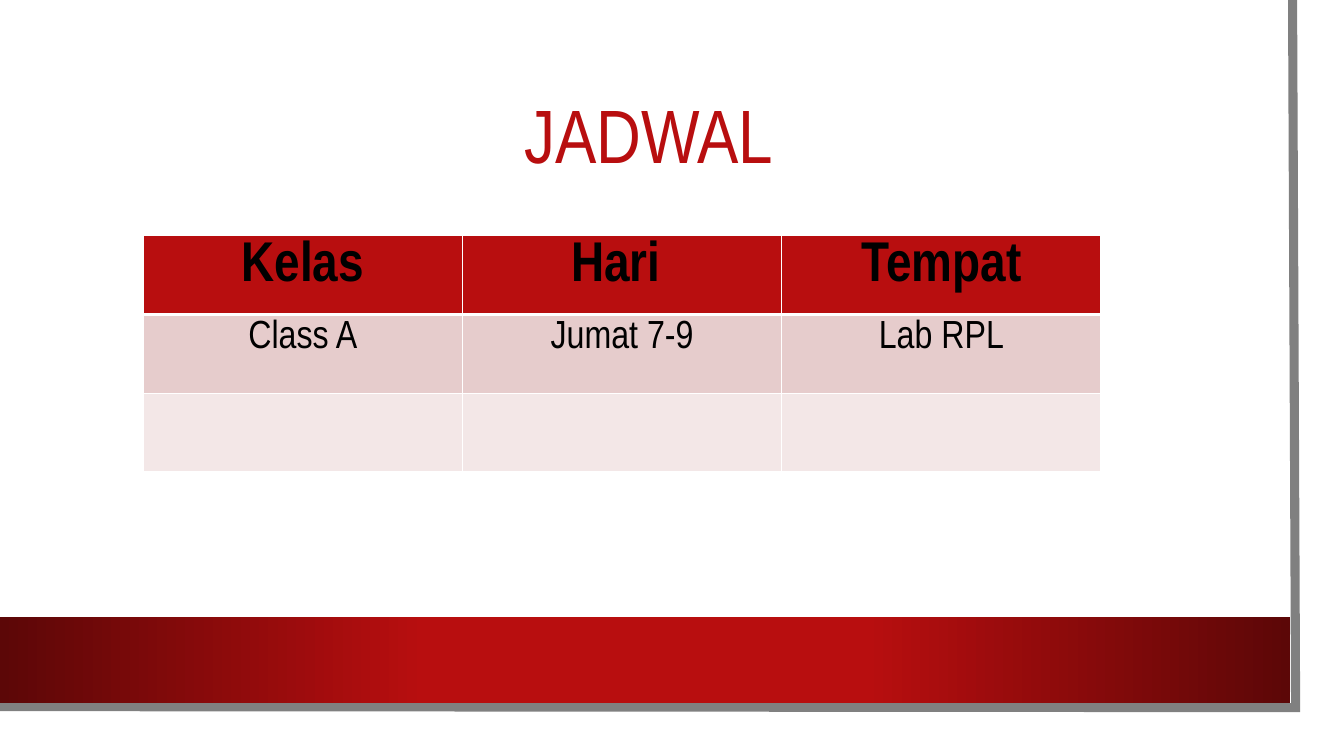
from dataclasses import dataclass

from lxml.etree import SubElement
from pptx import Presentation
from pptx.dml.color import RGBColor as RGB
from pptx.enum.shapes import MSO_SHAPE as Shape
from pptx.enum.text import MSO_ANCHOR as Anchor, PP_ALIGN as Align
from pptx.oxml import parse_xml
from pptx.oxml.ns import nsdecls, qn
from pptx.util import Inches, Pt

TITLE = "JADWAL"
ROWS = [
    ("Kelas", "Hari ", "Tempat"),
    ("Class A", "Jumat 7-9", "Lab RPL"),
    ("", "", ""),
]
SHEET = (0, 0, 13.1, 7.27)
BAND = (0, 6.12, 12.8, 0.85)
EDGE = [(12.82, 0), (12.85, 7.02), (-0.03, 7.01)]
HEAD = (0.75, 0.75, 11.37, 1.26)
GRID = (1.42, 2.34, 9.5, 2.34)


@dataclass(frozen=True)
class Theme:
    font: str = "Arial Narrow"
    red: str = "B80E0F"
    dark: str = "5C0707"
    gray: str = "808080"
    white: str = "FFFFFF"
    black: str = "000000"
    fills: tuple = ("B80E0F", "E6CCCC", "F3E7E7")
    title: int = 54
    sizes: tuple = (40, 28, 28)
    edge: float = 6.5


T = Theme()


def box(area):
    return [Inches(n) for n in area]


def paint(fill, color):
    fill.solid()
    fill.fore_color.rgb = RGB.from_string(color)


def write(frame, text, size, color, bold=False):
    para = frame.paragraphs[0]
    para.alignment = Align.CENTER
    if text:
        run = para.add_run()
        run.text = text
        font = run.font
        font.name, font.size, font.bold = T.font, Pt(size), bold
        font.color.rgb = RGB.from_string(color)
    return para


def add_rect(shapes, area):
    rect = shapes.add_shape(Shape.RECTANGLE, *box(area))
    rect.shadow.inherit = False
    rect.line.fill.background()
    paint(rect.fill, T.white)
    return rect


def add_band(shapes):
    """Draw the red band, darker towards both ends."""
    band = add_rect(shapes, BAND)
    stops = [(0, T.dark), (33, T.red), (67, T.red), (100, T.dark)]
    marks = "".join(
        f'<a:gs pos="{at * 1000}"><a:srgbClr val="{color}"/></a:gs>'
        for at, color in stops
    )
    grad = parse_xml(
        f'<a:gradFill {nsdecls("a")}><a:gsLst>{marks}</a:gsLst>'
        '<a:lin ang="0" scaled="0"/></a:gradFill>'
    )
    props = band._element.spPr
    props.replace(props.find(qn("a:solidFill")), grad)


def add_edge(shapes):
    first, *rest = [box(point) for point in EDGE]
    pen = shapes.build_freeform(*first)
    pen.add_line_segments(rest, close=False)
    edge = pen.convert_to_shape()
    edge.shadow.inherit = False
    edge.fill.background()
    paint(edge.line.fill, T.gray)
    edge.line.width = Pt(T.edge)
    join = SubElement(edge.line._get_or_add_ln(), qn("a:miter"))
    join.set("lim", "800000")


def set_border(cell, side, width):
    props = cell._tc.get_or_add_tcPr()
    line = SubElement(props, qn(f"a:ln{side}"), w=str(Pt(width)))
    fill = SubElement(line, qn("a:solidFill"))
    SubElement(fill, qn("a:srgbClr"), val=T.white)


def add_grid(shapes):
    frame = shapes.add_table(len(ROWS), len(ROWS[0]), *box(GRID))
    table = frame.table
    for r, row in enumerate(ROWS):
        for c, text in enumerate(row):
            cell = table.cell(r, c)
            for side in "LRTB":
                thick = (r, side) in ((0, "B"), (1, "T"))
                set_border(cell, side, 3 if thick else 1)
            paint(cell.fill, T.fills[r])
            write(cell.text_frame, text, T.sizes[r], T.black, r == 0)


def set_title(slide):
    title = slide.shapes.title
    title.left, title.top, title.width, title.height = box(HEAD)
    frame = title.text_frame
    frame.vertical_anchor = Anchor.MIDDLE
    write(frame, TITLE, T.title, T.red).line_spacing = 0.9
    # Bring the title in front of the sheet.
    slide.shapes._spTree.append(title._element)


def main():
    deck = Presentation()
    deck.slide_width, deck.slide_height = Inches(13.33), Inches(7.5)
    slide = deck.slides.add_slide(deck.slide_layouts[5])
    paint(slide.background.fill, T.white)
    add_rect(slide.shapes, SHEET)
    add_edge(slide.shapes)
    add_band(slide.shapes)
    set_title(slide)
    add_grid(slide.shapes)
    deck.save("out.pptx")


if __name__ == "__main__":
    main()
